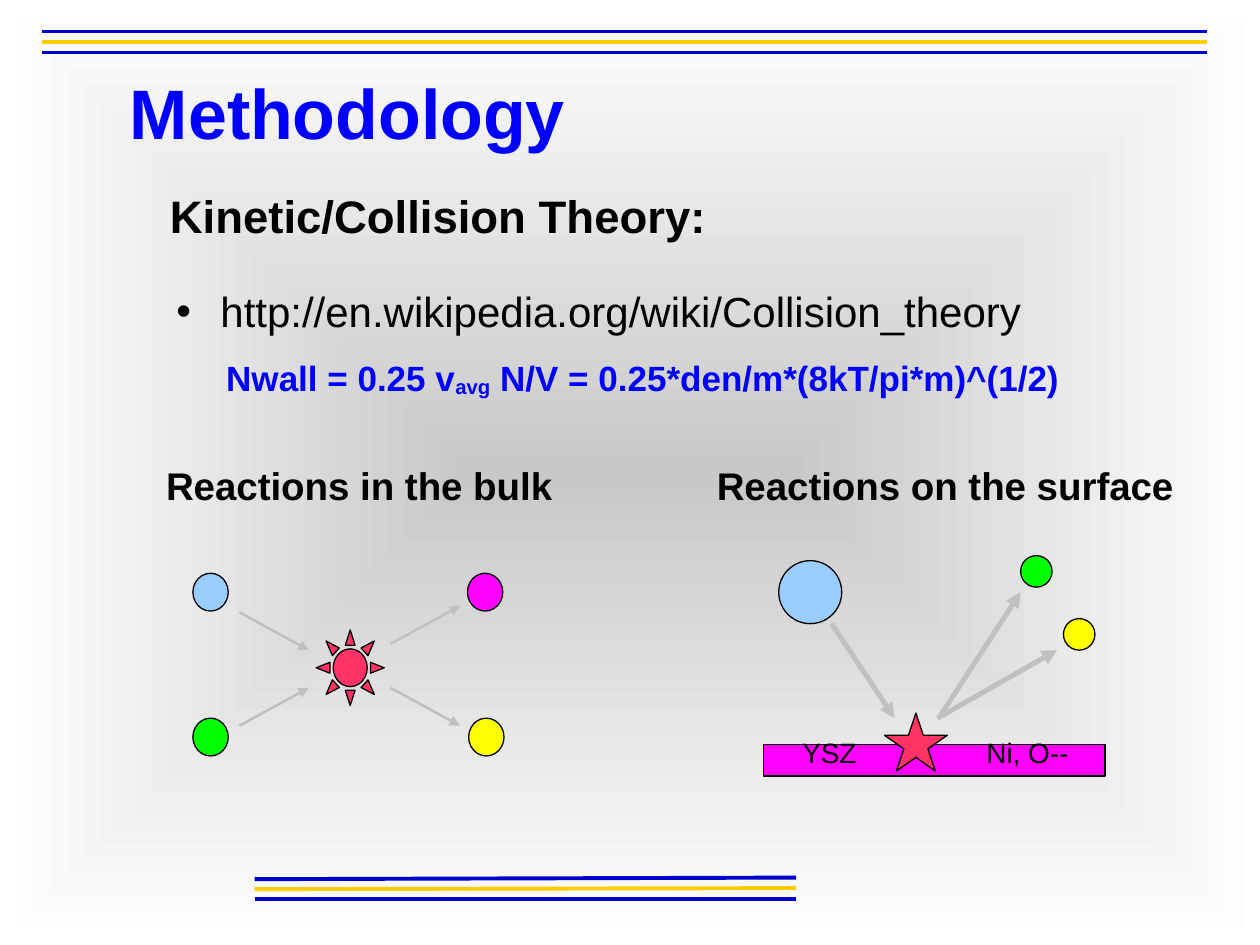
from typing import NamedTuple

from lxml import etree
from pptx import Presentation
from pptx import util as u
from pptx.dml.color import RGBColor
from pptx.enum import shapes, text
from pptx.oxml import ns

BLACK = RGBColor(0x00, 0x00, 0x00)
WHITE = RGBColor(0xFF, 0xFF, 0xFF)
BLUE = RGBColor(0x00, 0x00, 0xFF)
NAVY = RGBColor(0x00, 0x00, 0xCC)
GOLD = RGBColor(0xFF, 0xCC, 0x00)
SILVER = RGBColor(0xC0, 0xC0, 0xC0)
GREY = RGBColor(0xC8, 0xC8, 0xC8)
SKY = RGBColor(0x99, 0xCC, 0xFF)
GREEN = RGBColor(0x00, 0xFF, 0x00)
MAGENTA = RGBColor(0xFF, 0x00, 0xFF)
YELLOW = RGBColor(0xFF, 0xFF, 0x00)
RED = RGBColor(0xFF, 0x33, 0x66)

OVAL = shapes.MSO_SHAPE.OVAL
RECT = shapes.MSO_SHAPE.RECTANGLE
SUN = shapes.MSO_SHAPE.SUN
STAR = shapes.MSO_SHAPE.STAR_5_POINT


class Line(NamedTuple):
    x1: float
    y1: float
    x2: float
    y2: float
    width: float
    color: RGBColor = SILVER
    arrow: bool = True


class Body(NamedTuple):
    kind: shapes.MSO_SHAPE
    x: float
    y: float
    w: float
    h: float
    color: RGBColor


class Label(NamedTuple):
    words: str
    x: float
    y: float
    w: float
    h: float
    size: float
    bold: bool = True
    color: RGBColor = BLACK


def add_xml(parent, tag: str, **attributes: str):
    return etree.SubElement(parent, ns.qn(tag), attributes)


def paint_background(s) -> None:
    fill = s.background.fill
    fill.gradient()
    for stop, color, position in zip(fill.gradient_stops, (GREY, WHITE), (0, 1)):
        stop.color.rgb = color
        stop.position = position
    grad = s.background._cSld.find(".//" + ns.qn("a:gradFill"))
    grad.remove(grad.find(ns.qn("a:lin")))
    path = add_xml(grad, "a:path", path="rect")
    add_xml(path, "a:fillToRect", **dict.fromkeys("ltrb", "50000"))


def draw_line(s, line: Line) -> None:
    ends = [u.Pt(v) for v in line[:4]]
    c = s.shapes.add_connector(shapes.MSO_CONNECTOR.STRAIGHT, *ends)
    c.line.color.rgb = line.color
    c.line.width = u.Pt(line.width)
    if line.arrow:
        add_xml(c.line._get_or_add_ln(), "a:tailEnd", type="triangle")
    add_xml(c._element.spPr, "a:effectLst")


def draw_body(s, body: Body) -> None:
    sp = s.shapes.add_shape(body.kind, *[u.Pt(v) for v in body[1:5]])
    sp.shadow.inherit = False
    sp.fill.solid()
    sp.fill.fore_color.rgb = body.color
    sp.line.color.rgb = BLACK
    sp.line.width = u.Pt(0)


def style(p, size: float, bold: bool, color: RGBColor) -> None:
    p.font.name = "Arial"
    p.font.size = u.Pt(size)
    p.font.bold = bold
    p.font.color.rgb = color


def write_label(s, label: Label):
    sp = s.shapes.add_textbox(*[u.Pt(v) for v in label[1:5]])
    tf = sp.text_frame
    tf.word_wrap = True
    p = tf.paragraphs[0]
    p.add_run().text = label.words
    style(p, label.size, label.bold, label.color)
    return tf


def write_title(s) -> None:
    sp = s.shapes.title
    sp.left, sp.top, sp.width, sp.height = [u.Pt(v) for v in (67, 36, 523.5, 54)]
    tf = sp.text_frame
    tf.text = "Methodology"
    tf.vertical_anchor = text.MSO_ANCHOR.TOP
    tf.auto_size = text.MSO_AUTO_SIZE.NONE
    p = tf.paragraphs[0]
    p.alignment = text.PP_ALIGN.LEFT
    style(p, 40, True, BLUE)


def write_link(s) -> None:
    sp = s.shapes.add_textbox(*[u.Pt(v) for v in (99.36, 149, 576, 60.5)])
    tf = sp.text_frame
    tf.word_wrap = True
    tf.margin_left = tf.margin_top = tf.margin_right = tf.margin_bottom = 0
    p = tf.paragraphs[0]
    p.add_run().text = "http://en.wikipedia.org/wiki/Collision_theory"
    pPr = p._p.get_or_add_pPr()
    pPr.set("marL", str(u.Pt(26.64)))
    pPr.set("indent", str(u.Pt(-25.2)))
    add_xml(pPr, "a:buFont", typeface="Arial")
    add_xml(pPr, "a:buChar", char="•")
    p.line_spacing = 1.5
    style(p, 24, False, BLACK)


def write_formula(s) -> None:
    tf = write_label(s, Label("Nwall = 0.25 v", 122.2, 200.2, 496, 37.4, 20, color=BLUE))
    p = tf.paragraphs[0]
    r = p.add_run()
    r.text = "avg"
    r.font._element.set("baseline", "-8000")
    p.add_run().text = " N/V = 0.25*den/m*(8kT/pi*m)^(1/2)"


RULES = [
    Line(x1, y + drop, x2, y, 2.25, color, False)
    for x1, x2, rows in (
        (24, 690, ((18, 0), (24, 0), (30, 0))),
        (145.5, 455, ((501.5, 0.9), (507.5, 0.6), (513.5, 0))),
    )
    for (y, drop), color in zip(rows, (NAVY, GOLD, NAVY))
]

BULK = [
    Body(OVAL, x, y, 20.2, 21.6, color)
    for x, y, color in (
        (110.2, 327.6, SKY), (110.2, 410.4, GREEN),
        (267.1, 327.6, MAGENTA), (267.8, 410.4, YELLOW),
    )
] + [Body(SUN, 180.7, 360, 38.9, 43.2, RED)]

BULK_ARROWS = [
    Line(x, y, x + 39.6, y + rise, 1.45)
    for x, y, rise in (
        (223.2, 393.1, 21.6), (136.8, 349.9, 21.6),
        (223.2, 367.9, -21.6), (136.8, 414.7, -21.6),
    )
]

SURFACE = [
    Body(OVAL, 445, 320.4, 36, 36, SKY),
    Body(RECT, 436.3, 425.5, 195.1, 18, MAGENTA),
    Body(OVAL, 583.2, 317.5, 18, 18, GREEN),
    Body(OVAL, 607.7, 353.5, 18, 18, YELLOW),
    Body(STAR, 505.4, 407.5, 36, 33.1, RED),
]

SURFACE_ARROWS = [
    Line(475.2, 356.4, 511.2, 410.4, 2.89),
    Line(535.7, 410.4, 604.1, 371.5, 2.89),
    Line(536.4, 410.4, 583.2, 338.4, 2.89),
]

LABELS = [
    Label("Kinetic/Collision Theory:", 90, 103.7, 576, 87.8, 26),
    Label("Reactions in the bulk", 87.8, 260.6, 241.2, 31.7, 22),
    Label("Reactions on the surface", 402.5, 260.6, 281.5, 31.7, 22),
    Label("YSZ", 451.4, 416.9, 50, 25.2, 16, False),
    Label("Ni, O--", 556.6, 416.9, 66, 25.2, 16, False),
]


def main() -> None:
    prs = Presentation()
    prs.slide_width, prs.slide_height = u.Pt(720), u.Pt(540)
    s = prs.slides.add_slide(prs.slide_layouts[5])
    paint_background(s)
    for rule in RULES:
        draw_line(s, rule)
    write_title(s)
    write_link(s)
    write_formula(s)
    for body in BULK + SURFACE:
        draw_body(s, body)
    for arrow in BULK_ARROWS + SURFACE_ARROWS:
        draw_line(s, arrow)
    for label in LABELS:
        write_label(s, label)
    prs.save("out.pptx")


if __name__ == "__main__":
    main()
